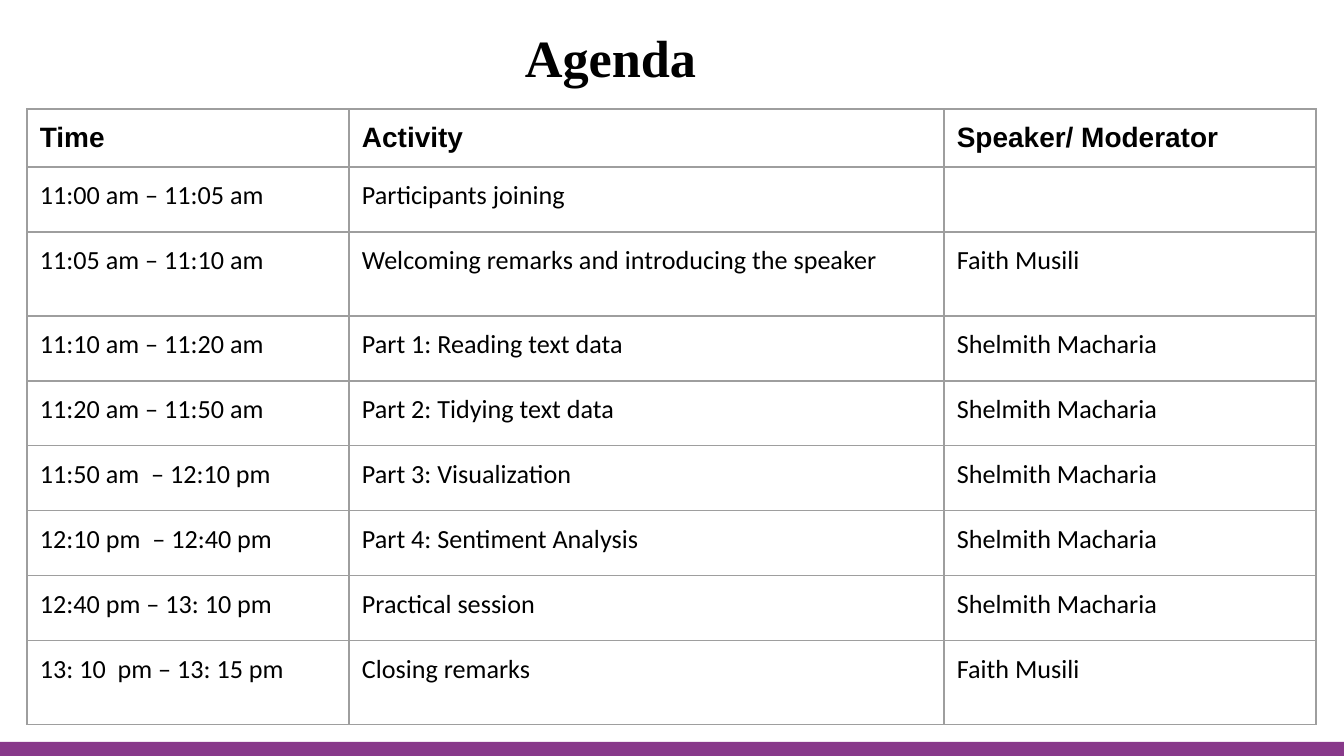
from lxml.etree import SubElement
from pptx import Presentation
from pptx.dml.color import RGBColor
from pptx.enum.shapes import MSO_SHAPE as Shape
from pptx.enum.text import MSO_ANCHOR as Anchor, PP_ALIGN as Align
from pptx.oxml.ns import qn
from pptx.util import Emu, Pt

# Content
TITLE = "Agenda"
AGENDA = [
    ("Time", "Activity", "Speaker/ Moderator"),
    ("11:00 am – 11:05 am", "Participants joining", ""),
    ("11:05 am – 11:10 am", "Welcoming remarks and introducing the speaker", "Faith Musili"),
    ("11:10 am – 11:20 am", "Part 1: Reading text data", "Shelmith Macharia"),
    ("11:20 am – 11:50 am", "Part 2: Tidying text data", "Shelmith Macharia"),
    ("11:50 am  – 12:10 pm", "Part 3: Visualization", "Shelmith Macharia"),
    ("12:10 pm  – 12:40 pm", "Part 4: Sentiment Analysis", "Shelmith Macharia"),
    ("12:40 pm – 13: 10 pm", "Practical session", "Shelmith Macharia"),
    ("13: 10  pm – 13: 15 pm", "Closing remarks", "Faith Musili"),
]

# Theme
THEME = {
    "text": RGBColor.from_string("000000"),
    "bar": RGBColor.from_string("88398A"),
    "border": "9E9E9E",
    "border_width": Pt(0.75),
    "title": {"name": "Times New Roman", "size": Pt(28), "bold": True},
    "header": {"name": "Arial", "size": Pt(15), "bold": True},
    "body": {"name": "Calibri", "size": Pt(14), "bold": False},
}

# Layout in px
SLIDE = (1344, 756)
BAR_HEIGHT = 14
TITLE_BOX = (151, 22, 919, 69)
TABLE_LEFT, TABLE_TOP = 27, 109
COLUMNS = (322, 595, 372)
HEADER_ROW, BODY_ROW, TALL_ROW = 58, 65, 84
TALL_ROWS = (2, len(AGENDA) - 1)
INSET = 13


def px(value):
    return Emu(round(value * 914400 / 134.4))


def apply(target, values):
    for name, value in values.items():
        setattr(target, name, value)


def write(paragraph, text, font):
    if text:
        run = paragraph.add_run()
        run.text = text
        apply(run.font, font)
        run.font.color.rgb = THEME["text"]
    else:
        size = str(round(font["size"].pt * 100))
        SubElement(paragraph._p, qn("a:endParaRPr"), sz=size)


def outline(cell):
    properties = cell._tc.get_or_add_tcPr()
    for position, side in enumerate(("lnL", "lnR", "lnT", "lnB")):
        line = properties.makeelement(qn(f"a:{side}"), {"w": str(THEME["border_width"])})
        fill = SubElement(line, qn("a:solidFill"))
        SubElement(fill, qn("a:srgbClr"), val=THEME["border"])
        properties.insert(position, line)


presentation = Presentation()
apply(presentation, {"slide_width": px(SLIDE[0]), "slide_height": px(SLIDE[1])})
slide = presentation.slides.add_slide(presentation.slide_layouts[6])
margins = {f"margin_{side}": px(INSET) for side in ("left", "right", "top", "bottom")}

# Bottom bar
bar = slide.shapes.add_shape(
    Shape.RECTANGLE, 0, px(SLIDE[1] - BAR_HEIGHT), px(SLIDE[0]), px(BAR_HEIGHT))
bar.shadow.inherit = False
bar.fill.solid()
bar.fill.fore_color.rgb = THEME["bar"]
bar.line.fill.background()

# Agenda table
row_heights = [
    HEADER_ROW if row == 0 else TALL_ROW if row in TALL_ROWS else BODY_ROW
    for row in range(len(AGENDA))
]
table = slide.shapes.add_table(
    len(AGENDA), len(COLUMNS), px(TABLE_LEFT), px(TABLE_TOP),
    px(sum(COLUMNS)), px(sum(row_heights))).table
apply(table, {"first_row": False, "horz_banding": False})
for column, width in zip(table.columns, COLUMNS):
    column.width = px(width)
for index, (row, height, texts) in enumerate(zip(table.rows, row_heights, AGENDA)):
    row.height = px(height)
    for cell, text in zip(row.cells, texts):
        apply(cell, margins)
        cell.fill.background()
        outline(cell)
        write(cell.text_frame.paragraphs[0], text, THEME["body" if index else "header"])

# Title
title_frame = slide.shapes.add_textbox(*map(px, TITLE_BOX)).text_frame
apply(title_frame, {"word_wrap": True, "vertical_anchor": Anchor.MIDDLE, **margins})
title_frame.paragraphs[0].alignment = Align.CENTER
write(title_frame.paragraphs[0], TITLE, THEME["title"])

presentation.save("out.pptx")
